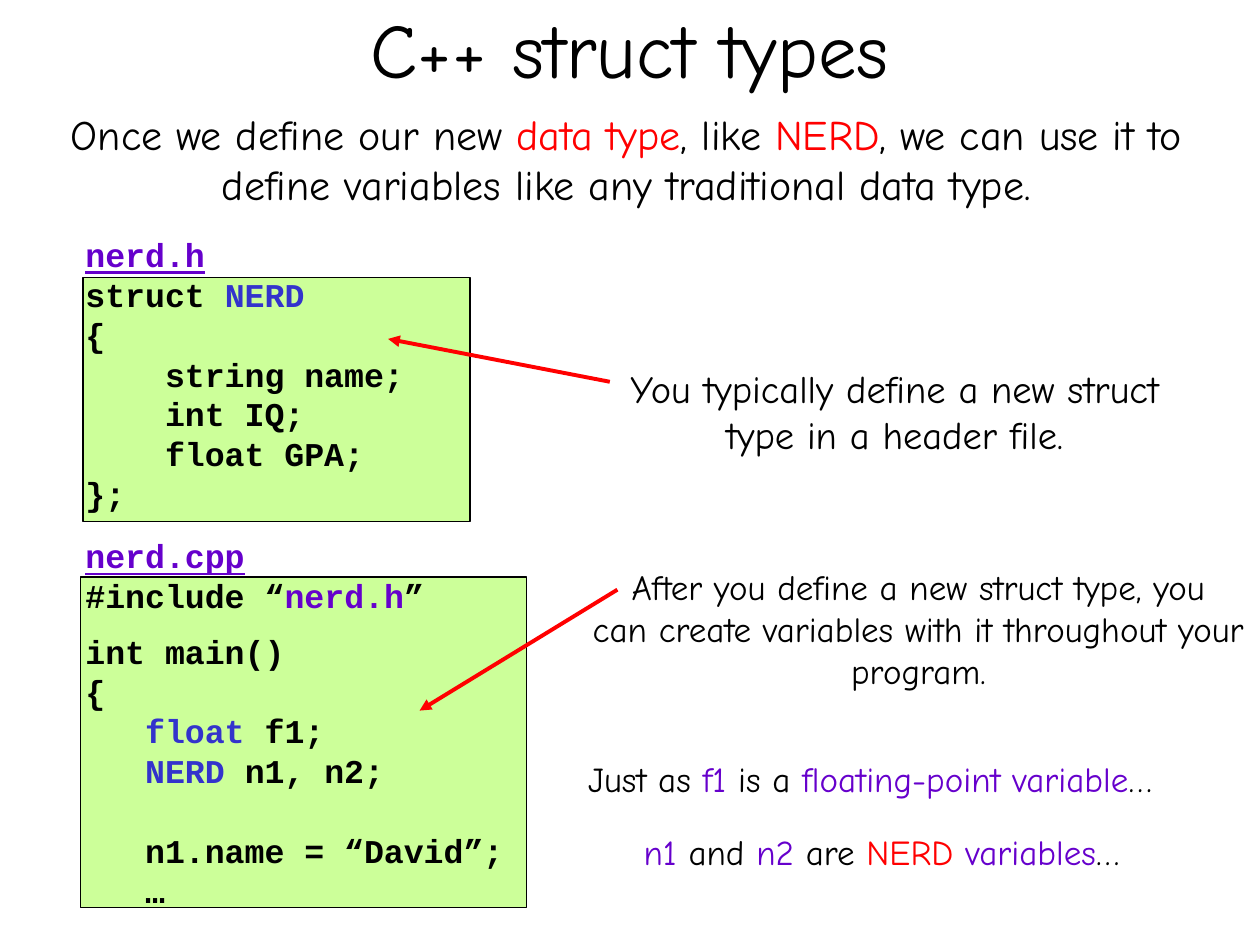
from pptx import Presentation
from pptx.dml.color import RGBColor as Rgb
from pptx.enum.shapes import MSO_CONNECTOR as Link, MSO_SHAPE as Form
from pptx.enum.text import MSO_ANCHOR as Anchor, MSO_AUTO_SIZE as Fit, PP_ALIGN as Align
from pptx.oxml.ns import qn
from pptx.util import Inches, Pt
from lxml.etree import SubElement as Sub

BLACK, RED, BLUE, PURPLE, GREEN = "000000", "FF0000", "3333CC", "6600CC", "CCFF99"


def tint(color, code):
    color.rgb = Rgb.from_string(code)


class Deck:
    body, mono = "Comic Neue", "Courier New"
    cols, rows = 20, 15

    def __init__(self):
        self.file = Presentation()
        self.file.slide_width, self.file.slide_height = Inches(10), Inches(7.5)
        self.slide = self.file.slides.add_slide(self.file.slide_layouts[5])
        self.shapes = self.slide.shapes

    def grid(self, x, y):
        return (round(x * self.file.slide_width / self.cols),
                round(y * self.file.slide_height / self.rows))

    def place(self, *box):
        return self.grid(*box[:2]) + self.grid(*box[2:])

    def panel(self, *box):
        shape = self.shapes.add_shape(Form.RECTANGLE, *self.place(*box))
        shape.shadow.inherit = False
        shape.fill.solid()
        tint(shape.fill.fore_color, GREEN)
        tint(shape.line.color, BLACK)
        shape.line.width = Pt(0.75)

    def label(self, para, runs, size, face, bold=False):
        para.font.size, para.font.name, para.font.bold = Pt(size), face, bold
        for text, code in runs:
            for i, part in enumerate(text.split("\n")):
                if i:
                    para.add_line_break()
                run = para.add_run()
                run.text = part
                tint(run.font.color, code)

    def title(self, text, size, *box):
        shape = self.shapes.title
        shape.left, shape.top, shape.width, shape.height = self.place(*box)
        shape.text_frame.vertical_anchor = Anchor.MIDDLE
        para = shape.text_frame.paragraphs[0]
        para.alignment = Align.CENTER
        self.label(para, [(text, BLACK)], size, self.body)

    def frame(self, box, wrap):
        frame = self.shapes.add_textbox(*self.place(*box)).text_frame
        frame.word_wrap, frame.auto_size = wrap, Fit.SHAPE_TO_FIT_TEXT
        return frame

    def note(self, runs, size, *box):
        para = self.frame(box, True).paragraphs[0]
        para.alignment = Align.CENTER
        self.label(para, runs, size, self.body)

    def code(self, name, lines, gaps, *box):
        frame = self.frame(box, False)
        head = frame.paragraphs[0]
        self.label(head, [(name, PURPLE)], 19, self.mono, True)
        head.runs[0].font.underline = True
        for i, line in enumerate(lines):
            para = frame.add_paragraph()
            para.space_before = Pt(gaps.get(i, 0))
            runs = [(line, BLACK)] if isinstance(line, str) else line
            self.label(para, runs, 19, self.mono, True)

    def arrow(self, *ends):
        link = self.shapes.add_connector(Link.STRAIGHT, *self.place(*ends))
        link.line.width = Pt(2.25)
        tint(link.line.color, RED)
        props = link.element.spPr
        Sub(props.find(qn("a:ln")), qn("a:tailEnd"), type="triangle")
        Sub(props, qn("a:effectLst"))


def main():
    deck = Deck()
    deck.title("C++ struct types", 44, 1.5, -0.5, 17, 2.5)
    deck.panel(1.28, 9.16, 7.08, 5.24)
    deck.panel(1.32, 4.4, 6.14, 3.88)
    deck.note([("Once we define our new ", BLACK), ("data type", RED),
               (", like ", BLACK), ("NERD", RED),
               (", we can use it to define variables like any traditional data type.", BLACK)],
              24, 0.54, 1.62, 18.8, 1.82)
    deck.code("nerd.h",
              [[("struct ", BLACK), ("NERD", BLUE)], "{", "    string name;",
               "    int IQ;", "    float GPA;", "};"],
              {}, 1.16, 3.62, 5.5, 5.32)
    deck.code("nerd.cpp",
              [[("#include “", BLACK), ("nerd.h", PURPLE), ("”", BLACK)],
               "int main()", "{",
               [("   float ", BLUE), ("f1;", BLACK)],
               [("   NERD ", BLUE), ("n1, n2;", BLACK)],
               "   n1.name = “David”;", "   …"],
              {1: 9, 5: 22.8}, 1.16, 8.4, 7.1, 6.22)
    deck.note([("You typically define a new struct\ntype in a header file.", BLACK)],
              22, 8.78, 5.7, 10.84, 1.66)
    deck.arrow(9.68, 6.06, 6.16, 5.38)
    deck.note([("After you define a new struct type, you\n"
                "can create variables with it throughout your program.", BLACK)],
              20, 9.16, 8.88, 10.84, 2.2)
    deck.arrow(9.8, 9.36, 6.66, 11.28)
    deck.note([("Just as ", BLACK), ("f1", PURPLE), (" is a ", BLACK),
               ("floating-point variable", PURPLE), ("…", BLACK)],
              20, 8.5, 11.92, 10.62, 0.86)
    deck.note([("n1 ", PURPLE), ("and ", BLACK), ("n2 ", PURPLE), ("are ", BLACK),
               ("NERD ", RED), ("variables", PURPLE), ("…", BLACK)],
              20, 8.68, 13.08, 10.62, 0.86)
    deck.file.save("out.pptx")


if __name__ == "__main__":
    main()
